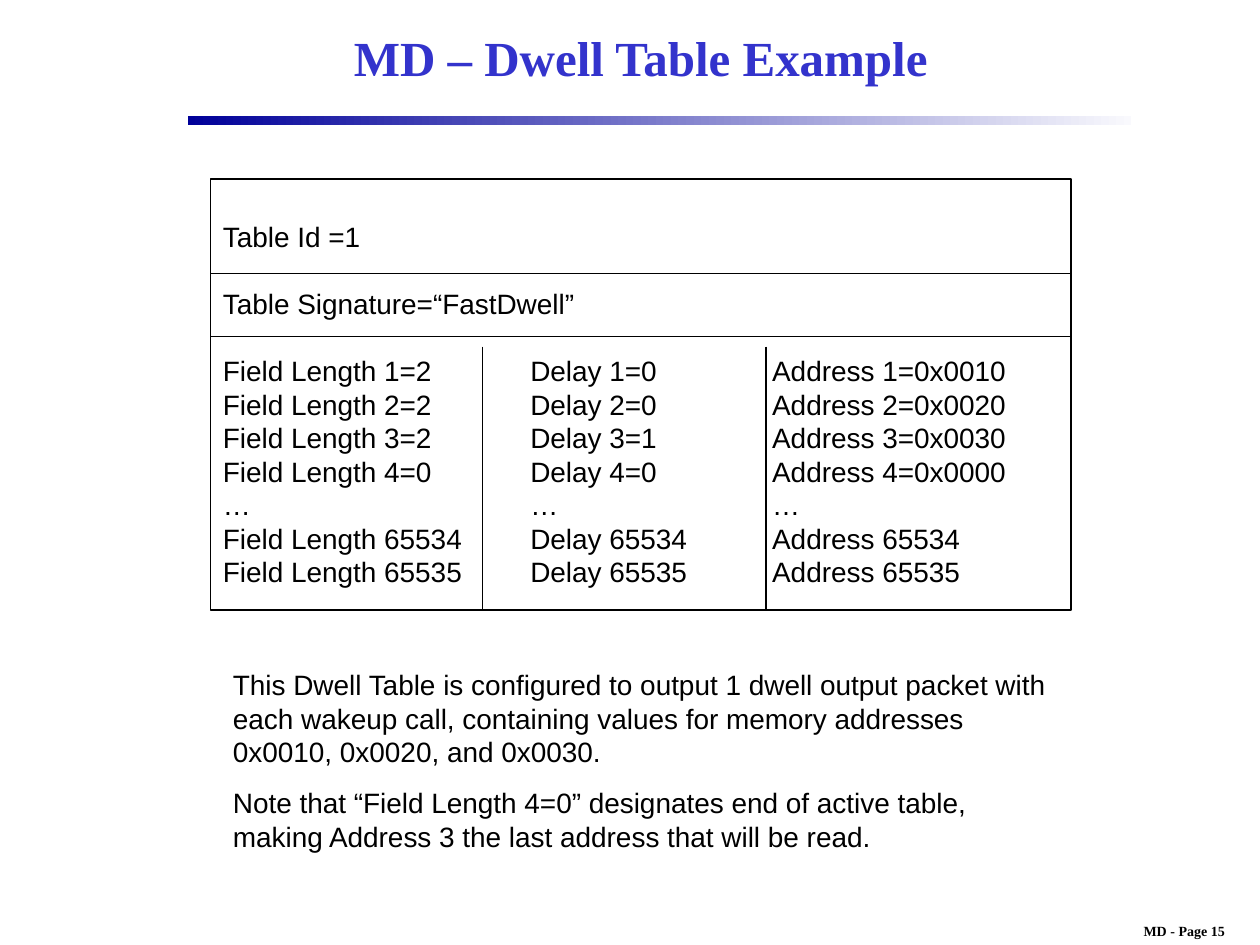
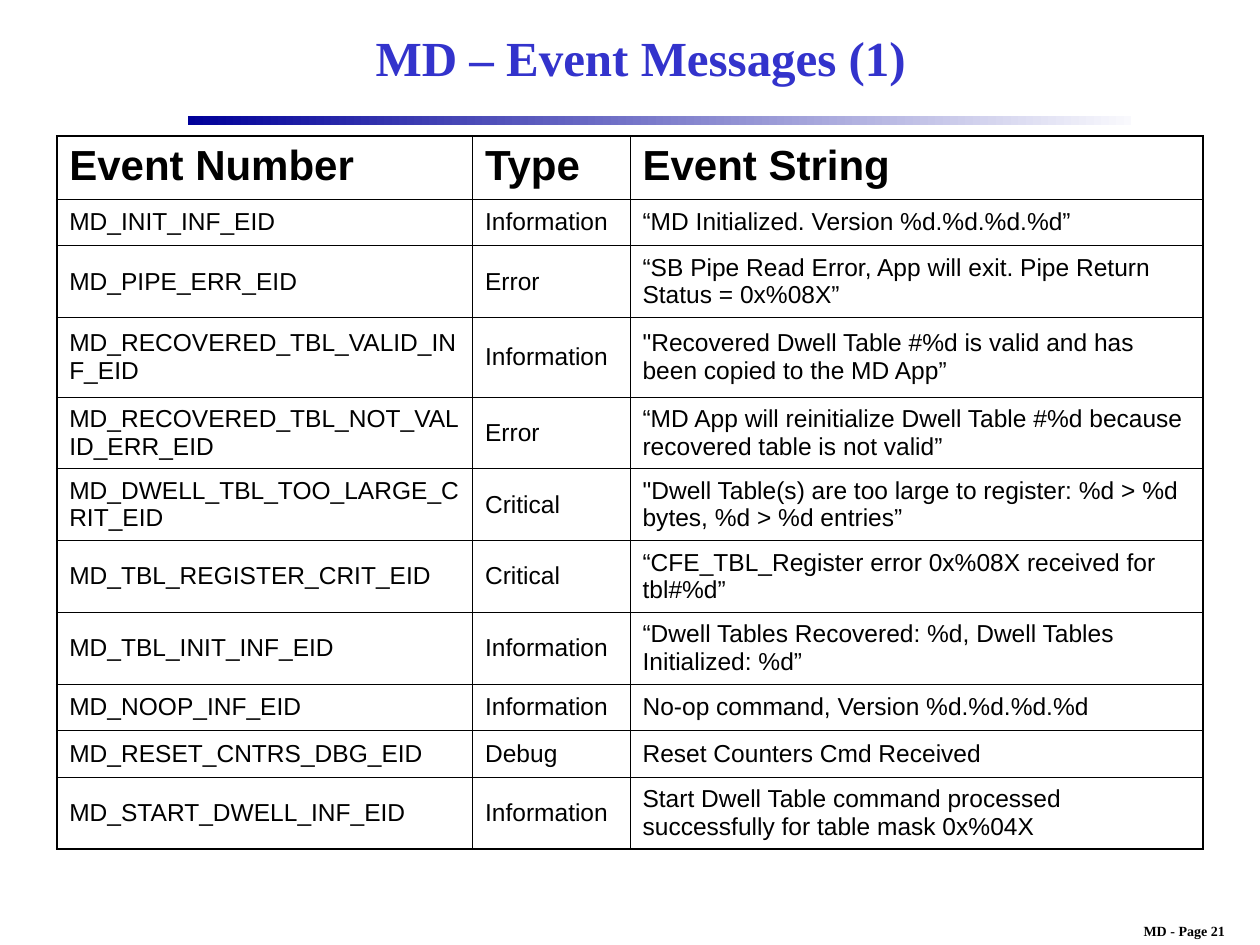
from dataclasses import dataclass
from typing import Any, Sequence

import lxml.etree
import pptx
import pptx.dml.color
import pptx.enum.shapes
import pptx.enum.text
import pptx.oxml.ns
import pptx.util

Inches = pptx.util.Inches
Pt = pptx.util.Pt
qn = pptx.oxml.ns.qn
ALIGN = pptx.enum.text.PP_ALIGN
ANCHOR = pptx.enum.text.MSO_ANCHOR

BLACK, WHITE, BLUE = "000000", "FFFFFF", "3333CC"
NAVY, PALE = "000099", "F9F9FD"
SANS, SERIF = "Arial", "Times New Roman"
PITCH = 19.2  # points from line to line in 16-point text
THIN, THICK = 0.45, 1.08  # table border widths in points


@dataclass(frozen=True)
class Box:
    left: float
    top: float
    width: float
    height: float

    def emu(self) -> tuple:
        return tuple(Inches(n) for n in (self.left, self.top, self.width, self.height))


@dataclass(frozen=True)
class Rule:
    x1: float
    y1: float
    x2: float
    y2: float
    weight: float


@dataclass(frozen=True)
class Event:
    name: str
    kind: str
    text: str
    height: float = 0.57


TITLE = Box(1.5, 0.08, 7.17, 0.75)
BAR = Box(1.49, 0.92, 7.49, 0.07)
FOOTER = Box(8.78, 7.27, 1.24, 0.23)

FRAME = Box(1.67, 1.42, 6.83, 3.42)
RIGHT, BOTTOM = 8.5, 4.84
RULES = [Rule(FRAME.left, y, RIGHT, y, 1) for y in (2.17, 2.67)]
RULES += [Rule(x, 2.75, x, BOTTOM, 0.75) for x in (3.83, 6.08)]

HEADS = ["Table Id =1", "Table Signature=“FastDwell”"]
ENTRIES = [
    ("1=2", "1=0", "1=0x0010"),
    ("2=2", "2=0", "2=0x0020"),
    ("3=2", "3=1", "3=0x0030"),
    ("4=0", "4=0", "4=0x0000"),
    None,
    ("65534",) * 3,
    ("65535",) * 3,
]
LABELS = ("Field Length", "Delay", "Address")
NOTES = [
    "This Dwell Table is configured to output 1 dwell output packet with each "
    "wakeup call, containing values for memory addresses 0x0010, 0x0020, and 0x0030.",
    "Note that “Field Length 4=0” designates end of active table, making "
    "Address 3 the last address that will be read.",
]

COLUMNS = (3.3, 1.25, 4.55)
EVENTS = [
    Event("Event Number", "Type", "Event String", 0.5),
    Event("MD_INIT_INF_EID", "Information", "“MD Initialized. Version %d.%d.%d.%d”", 0.37),
    Event("MD_PIPE_ERR_EID", "Error",
          "“SB Pipe Read Error, App will exit. Pipe Return Status = 0x%08X”"),
    Event("MD_RECOVERED_TBL_VALID_INF_EID", "Information",
          "\"Recovered Dwell Table #%d is valid and has been copied to the MD App”", 0.63),
    Event("MD_RECOVERED_TBL_NOT_VALID_ERR_EID", "Error",
          "“MD App will reinitialize Dwell Table #%d because recovered table is not valid”"),
    Event("MD_DWELL_TBL_TOO_LARGE_CRIT_EID", "Critical",
          "\"Dwell Table(s) are too large to register: %d > %d bytes, %d > %d entries”"),
    Event("MD_TBL_REGISTER_CRIT_EID", "Critical",
          "“CFE_TBL_Register error 0x%08X received for tbl#%d”"),
    Event("MD_TBL_INIT_INF_EID", "Information",
          "“Dwell Tables Recovered: %d, Dwell Tables Initialized: %d”"),
    Event("MD_NOOP_INF_EID", "Information", "No-op command, Version %d.%d.%d.%d", 0.37),
    Event("MD_RESET_CNTRS_DBG_EID", "Debug", "Reset Counters Cmd Received", 0.37),
    Event("MD_START_DWELL_INF_EID", "Information",
          "Start Dwell Table command processed successfully for table mask 0x%04X"),
]


def color(code: str) -> pptx.dml.color.RGBColor:
    return pptx.dml.color.RGBColor.from_string(code)


def write(frame: Any, lines: Sequence[str], *, size: float, font: str = SANS,
          ink: str = BLACK, bold: bool = False, align: Any = ALIGN.LEFT,
          pitch: float = 0, gaps: Sequence[float] = (), tabs: Sequence[float] = ()) -> None:
    """Fill a text frame; gaps holds the space before each line after the first."""
    for i, line in enumerate(lines):
        para = frame.paragraphs[0] if i == 0 else frame.add_paragraph()
        para.alignment = align
        if tabs:
            stops = lxml.etree.SubElement(para._p.get_or_add_pPr(), qn("a:tabLst"))
            for stop in tabs:
                lxml.etree.SubElement(stops, qn("a:tab"), pos=str(Inches(stop)), algn="l")
        if pitch:
            para.line_spacing = Pt(pitch)
        if 0 < i <= len(gaps):
            para.space_before = Pt(gaps[i - 1])
        run = para.add_run()
        run.text = line
        run.font.size = Pt(size)
        run.font.name = font
        run.font.bold = bold
        run.font.color.rgb = color(ink)


def add_text(slide: Any, box: Box, lines: Sequence[str], wrap: bool = True,
             **style: Any) -> None:
    frame = slide.shapes.add_textbox(*box.emu()).text_frame
    frame.word_wrap = wrap
    write(frame, lines, **style)


def add_rect(slide: Any, box: Box) -> Any:
    shape = slide.shapes.add_shape(pptx.enum.shapes.MSO_SHAPE.RECTANGLE, *box.emu())
    shape.shadow.inherit = False
    return shape


def add_rule(slide: Any, rule: Rule) -> None:
    ends = [Inches(n) for n in (rule.x1, rule.y1, rule.x2, rule.y2)]
    line = slide.shapes.add_connector(pptx.enum.shapes.MSO_CONNECTOR.STRAIGHT, *ends)
    line.line.color.rgb = color(BLACK)
    line.line.width = Pt(rule.weight)
    lxml.etree.SubElement(line._element.spPr, qn("a:effectLst"))


def add_slide(deck: Any, title: str, page: int) -> Any:
    """Add a slide with the shared title, gradient bar and page label."""
    slide = deck.slides.add_slide(deck.slide_layouts[5])
    head = slide.shapes.title
    head.left, head.top, head.width, head.height = TITLE.emu()
    head.text_frame.vertical_anchor = ANCHOR.MIDDLE
    write(head.text_frame, [title], size=28, font=SERIF, ink=BLUE, bold=True,
          align=ALIGN.CENTER)
    bar = add_rect(slide, BAR)
    bar.line.fill.background()
    bar.fill.gradient()
    bar.fill.gradient_angle = 0
    for stop, code, place in zip(bar.fill.gradient_stops, (NAVY, PALE), (0, 1)):
        stop.color.rgb = color(code)
        stop.position = place
    add_text(slide, FOOTER, [f"MD - Page {page}"], wrap=False, size=8, font=SERIF,
             bold=True, align=ALIGN.CENTER)
    return slide


def set_edges(cell: Any, widths: dict) -> None:
    props = cell._tc.get_or_add_tcPr()
    for side, width in widths.items():
        edge = lxml.etree.SubElement(props, qn(f"a:ln{side}"), w=str(Pt(width)))
        fill = lxml.etree.SubElement(edge, qn("a:solidFill"))
        lxml.etree.SubElement(fill, qn("a:srgbClr"), val=BLACK)


def draw_dwell(deck: Any) -> None:
    slide = add_slide(deck, "MD – Dwell Table Example", 15)
    frame = add_rect(slide, FRAME)
    frame.fill.solid()
    frame.fill.fore_color.rgb = color(WHITE)
    frame.line.color.rgb = color(BLACK)
    frame.line.width = Pt(1)
    for rule in RULES:
        add_rule(slide, rule)
    rows = ["\t".join(f"{label} {value}" for label, value in zip(LABELS, entry))
            if entry else "\t".join("…" * len(LABELS)) for entry in ENTRIES]
    add_text(slide, Box(FRAME.left, 1.69, 6.75, 3.15), HEADS + rows, size=16,
             pitch=PITCH, gaps=(PITCH, PITCH), tabs=(2.44, 4.36))
    add_text(slide, Box(1.75, 5.25, 6.75, 1.57), NOTES, size=16, pitch=PITCH, gaps=(10,))


def draw_events(deck: Any) -> None:
    slide = add_slide(deck, "MD – Event Messages (1)", 21)
    box = Box(0.45, 1.08, sum(COLUMNS), sum(event.height for event in EVENTS))
    table = slide.shapes.add_table(len(EVENTS), len(COLUMNS), *box.emu()).table
    table.horz_banding = False
    for column, width in zip(table.columns, COLUMNS):
        column.width = Inches(width)
    for r, event in enumerate(EVENTS):
        table.rows[r].height = Inches(event.height)
        for c, text in enumerate((event.name, event.kind, event.text)):
            cell = table.cell(r, c)
            outer = {"L": c == 0, "R": c == len(COLUMNS) - 1,
                     "T": r == 0, "B": r == len(EVENTS) - 1}
            set_edges(cell, {side: THICK if out else THIN for side, out in outer.items()})
            cell.fill.background()
            cell.vertical_anchor = ANCHOR.MIDDLE if r else ANCHOR.TOP
            write(cell.text_frame, [text], size=14 if r else 24, bold=r == 0)


def main() -> None:
    deck = pptx.Presentation()
    deck.slide_width, deck.slide_height = Inches(10), Inches(7.5)
    draw_dwell(deck)
    draw_events(deck)
    deck.save("out.pptx")


if __name__ == "__main__":
    main()
